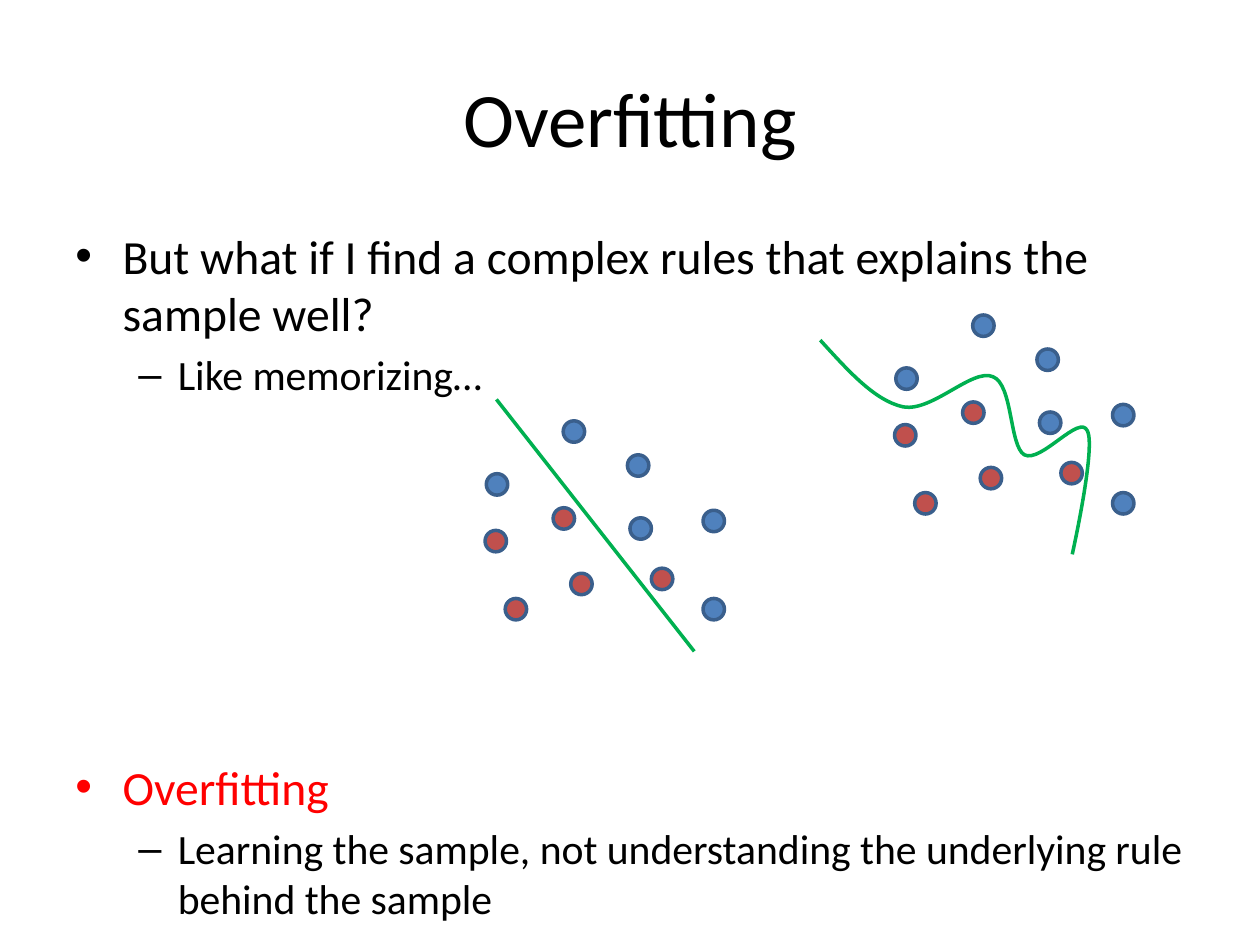
from dataclasses import dataclass

from lxml import etree
from pptx import Presentation
from pptx.dml.color import RGBColor
from pptx.enum.shapes import MSO_CONNECTOR, MSO_SHAPE
from pptx.enum.text import MSO_ANCHOR, PP_ALIGN
from pptx.oxml.ns import qn
from pptx.util import Inches, Pt

OVAL, STRAIGHT = MSO_SHAPE.OVAL, MSO_CONNECTOR.STRAIGHT
MIDDLE, TOP, CENTER = MSO_ANCHOR.MIDDLE, MSO_ANCHOR.TOP, PP_ALIGN.CENTER
COLORS = {"text": "000000", "accent": "FF0000", "blue": "4F81BD",
          "red": "C0504D", "outline": "3A5F8C", "rule": "00B050"}
FONT = "Calibri"
CELL = 0.1  # the slide is a grid of 100 columns by 75 rows
DOT = 1.7
LINE_WIDTH = 2

Point = tuple[float, float]


@dataclass(frozen=True)
class Level:
    bullet: str
    size: float
    margin: float
    hanging: float


@dataclass(frozen=True)
class Bullet:
    text: str
    level: Level
    color: str = "text"
    space_before: float = 0


@dataclass(frozen=True)
class Curve:
    first_control: Point
    second_control: Point
    end: Point


MAIN = Level("•", 27.2, 3.75, 3.75)
SUB = Level("–", 23.8, 8.13, 3.13)
BULLETS = [
    Bullet("But what if I find a complex rules that explains the sample well?", MAIN),
    Bullet("Like memorizing…", SUB, space_before=4.5),
    # The wide gap leaves room for the two scatter diagrams
    Bullet("Overfitting", MAIN, "accent", 205),
    Bullet("Learning the sample, not understanding the underlying rule behind the sample",
           SUB, space_before=4.5),
]

# Both diagrams show the same sample, measured from the diagram's corner
SAMPLE = {
    "blue": [(0.1, 4.2), (17.3, 7.1), (11.3, 2.7), (11.5, 7.7), (17.3, 14.1), (6.2, 0)],
    "red": [(13.2, 11.7), (1.6, 14.1), (6.8, 12.1), (5.4, 6.9), (0, 8.7)],
}
DIAGRAMS = [(38.5, 33.4), (71, 25)]
SIMPLE_RULE = ((39.4, 31.7), (55.1, 51.7))
CURVE_START = (65.1, 27)
COMPLEX_RULE = [
    Curve((67.3, 29.4), (69.4, 31.8), (71.7, 32.3)),
    Curve((74, 32.7), (77.2, 29.2), (78.8, 29.9)),
    Curve((80.4, 30.5), (80.1, 35.4), (81.3, 36.1)),
    Curve((82.6, 36.8), (85.7, 32.8), (86.3, 34.2)),
    Curve((87, 35.5), (85.1, 44), (85.1, 44)),
]


def cells(count: float) -> int:
    return Inches(count * CELL)


def rgb(name: str) -> RGBColor:
    return RGBColor.from_string(COLORS[name])


def apply(target, **values) -> None:
    for name, value in values.items():
        setattr(target, name, value)


def style_font(font, size: float, color: str) -> None:
    apply(font, name=FONT, size=Pt(size))
    font.color.rgb = rgb(color)


def style_line(line, color: str) -> None:
    line.width = Pt(LINE_WIDTH)
    line.color.rgb = rgb(color)


def add_title(page, text: str) -> None:
    title = page.shapes.title
    apply(title, left=cells(5), top=cells(3), width=cells(90), height=cells(12.5))
    title.text_frame.vertical_anchor = MIDDLE
    para = title.text_frame.paragraphs[0]
    para.alignment = CENTER
    span = para.add_run()
    span.text = text
    style_font(span.font, 44, "text")


def add_bullets(page, bullets: list[Bullet]) -> None:
    box = page.shapes.add_textbox(cells(5), cells(17.5), cells(90), cells(49.5))
    frame = box.text_frame
    apply(frame, word_wrap=True, vertical_anchor=TOP)
    for index, bullet in enumerate(bullets):
        para = frame.add_paragraph() if index else frame.paragraphs[0]
        level = bullet.level
        properties = para._p.get_or_add_pPr()
        properties.set("marL", str(cells(level.margin)))
        properties.set("indent", str(-cells(level.hanging)))
        etree.SubElement(properties, qn("a:buFont")).set("typeface", "Arial")
        etree.SubElement(properties, qn("a:buChar")).set("char", level.bullet)
        apply(para, level=int(level is SUB), space_before=Pt(bullet.space_before))
        span = para.add_run()
        span.text = bullet.text
        style_font(span.font, level.size, bullet.color)


def add_sample(page, origin: Point) -> None:
    for color, offsets in SAMPLE.items():
        for column, row in offsets:
            dot = page.shapes.add_shape(OVAL, cells(origin[0] + column),
                                        cells(origin[1] + row), cells(DOT), cells(DOT))
            dot.shadow.inherit = False
            dot.fill.solid()
            dot.fill.fore_color.rgb = rgb(color)
            style_line(dot.line, "outline")


def add_straight_rule(page, start: Point, end: Point) -> None:
    rule = page.shapes.add_connector(STRAIGHT, *map(cells, start + end))
    etree.SubElement(rule._element.spPr, qn("a:effectLst"))
    style_line(rule.line, "rule")


def add_curved_rule(page, start: Point, curves: list[Curve]) -> None:
    builder = page.shapes.build_freeform(*map(cells, start))
    builder.add_line_segments([tuple(map(cells, curve.end)) for curve in curves],
                              close=False)
    rule = builder.convert_to_shape()
    rule.shadow.inherit = False
    rule.fill.background()
    style_line(rule.line, "rule")
    # Turn each straight segment into a cubic curve
    for segment, curve in zip(list(rule._element.iter(qn("a:lnTo"))), curves):
        bend = etree.Element(qn("a:cubicBezTo"))
        for column, row in (curve.first_control, curve.second_control, curve.end):
            point = etree.SubElement(bend, qn("a:pt"))
            point.set("x", str(cells(column) - rule.left))
            point.set("y", str(cells(row) - rule.top))
        segment.getparent().replace(segment, bend)


def main() -> None:
    deck = Presentation()
    apply(deck, slide_width=cells(100), slide_height=cells(75))
    page = deck.slides.add_slide(deck.slide_layouts.get_by_name("Title Only"))

    # Text
    add_title(page, "Overfitting")
    add_bullets(page, BULLETS)

    # Scatter diagrams with their separating rules
    for origin in DIAGRAMS:
        add_sample(page, origin)
    add_straight_rule(page, *SIMPLE_RULE)
    add_curved_rule(page, CURVE_START, COMPLEX_RULE)

    deck.save("out.pptx")


if __name__ == "__main__":
    main()
